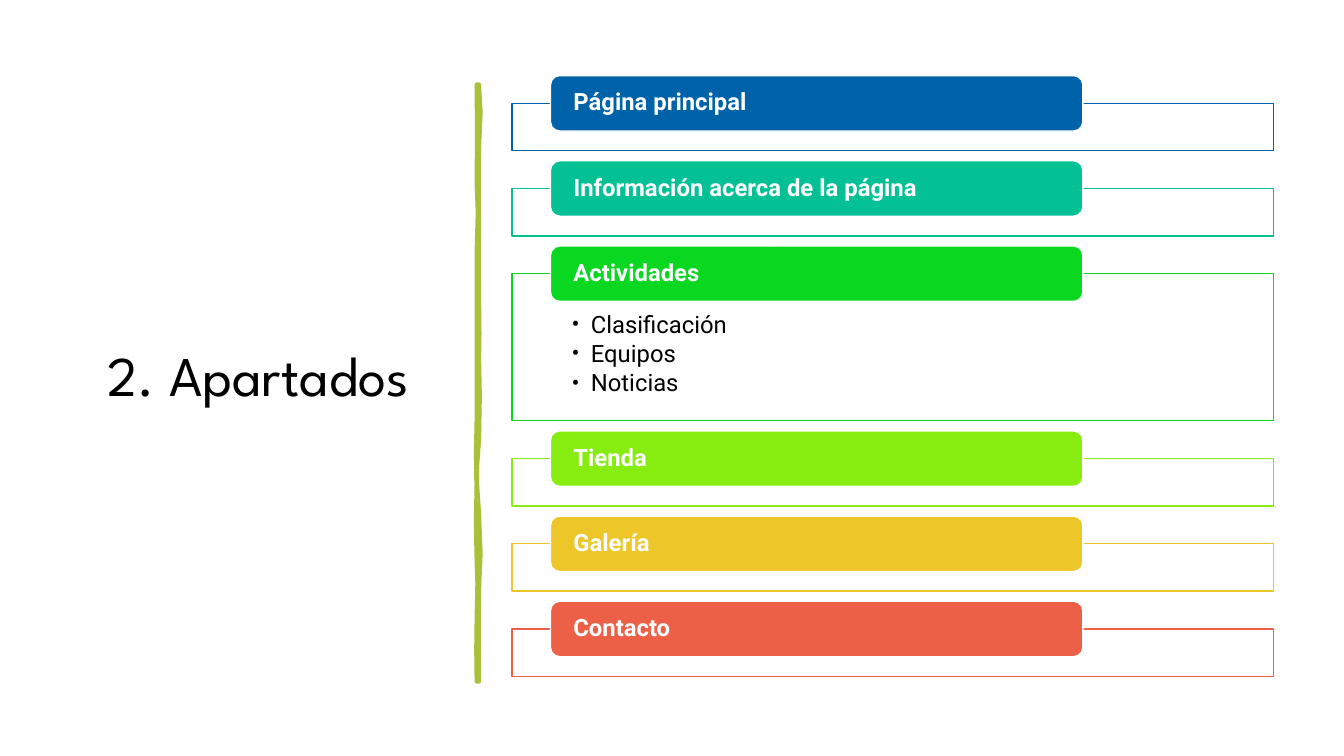
from lxml import etree
from pptx import Presentation
from pptx import util as u
from pptx.dml.color import RGBColor
from pptx.enum import shapes, text
from pptx.oxml.ns import qn

COLORS = {
    "white": "FFFFFF", "black": "000000", "olive": "A9C038", "blue": "0062A9",
    "teal": "04C195", "green": "09D720", "lime": "87EC0F", "yellow": "EDC72A",
    "coral": "EB6047",
}
SECTIONS = [
    ("Página principal", "blue", []),
    ("Información acerca de la página", "teal", []),
    ("Actividades", "green", ["Clasificación", "Equipos", "Noticias"]),
    ("Tienda", "lime", []),
    ("Galería", "yellow", []),
    ("Contacto", "coral", []),
]
BOX_LEFT, BOX_WIDTH = 5.08, 7.55
PLAIN_HEIGHT, LIST_HEIGHT = 0.47, 1.46
TAB_LEFT, TAB_WIDTH, TAB_HEIGHT, FIRST_TAB_TOP = 5.46, 5.28, 0.55, 0.75
TAB_RISE = TAB_HEIGHT / 2
GAP = TAB_RISE + 0.1

# Cubic curves of the brush stroke: a start point, then three points per curve.
BRUSH = [
    (4.75, 0.84), (4.77, 1.02), (4.77, 1.19), (4.75, 1.46),
    (4.73, 1.73), (4.76, 1.95), (4.75, 2.26), (4.74, 2.57), (4.75, 2.62), (4.75, 2.94),
    (4.74, 3.25), (4.77, 3.42), (4.75, 3.56), (4.73, 3.7), (4.79, 4.14), (4.75, 4.36),
    (4.71, 4.57), (4.72, 4.84), (4.75, 5.1), (4.77, 5.36), (4.77, 5.64), (4.75, 5.84),
    (4.73, 6.03), (4.76, 6.5), (4.75, 6.76), (4.74, 6.76), (4.73, 6.76), (4.73, 6.76),
    (4.74, 6.46), (4.71, 6.44), (4.73, 6.13), (4.74, 5.83), (4.74, 5.7), (4.73, 5.57),
    (4.72, 5.44), (4.72, 4.95), (4.73, 4.77), (4.73, 4.59), (4.71, 4.45), (4.73, 4.15),
    (4.74, 3.86), (4.72, 3.73), (4.73, 3.35), (4.74, 2.98), (4.72, 2.81), (4.73, 2.5),
    (4.74, 2.18), (4.75, 2), (4.73, 1.81), (4.7, 1.63), (4.77, 1.04), (4.73, 0.84),
]


def flatten(points, steps=2):
    """Turn chained cubic curves into a list of points in EMU."""
    flat = []
    for i in range(0, len(points) - 3, 3):
        for t in (n / steps for n in range(steps)):
            weights = ((1 - t) ** 3, 3 * t * (1 - t) ** 2, 3 * t * t * (1 - t), t ** 3)
            flat.append(tuple(
                u.Inches(sum(w * pt[axis] for w, pt in zip(weights, points[i:i + 4])))
                for axis in (0, 1)))
    return flat + [tuple(u.Inches(v) for v in points[-1])]


class SlideBuilder:
    font = "Roboto"
    title_font = "League Spartan"
    size = 17

    def __init__(self, prs):
        self.slide = prs.slides.add_slide(prs.slide_layouts[6])

    def color(self, name):
        return RGBColor.from_string(COLORS[name])

    def paint(self, sp, fill, line, width):
        sp.shadow.inherit = False
        sp.fill.solid()
        sp.fill.fore_color.rgb = self.color(fill)
        sp.line.color.rgb = self.color(line)
        sp.line.width = u.Pt(width)

    def shape(self, kind, box, fill, line):
        sp = self.slide.shapes.add_shape(kind, *map(u.Inches, box))
        self.paint(sp, fill, line, 1)
        return sp

    def frame(self, sp, insets, anchor):
        tf = sp.text_frame
        tf.word_wrap = True
        tf.vertical_anchor = anchor
        tf.margin_left, tf.margin_top, tf.margin_right, tf.margin_bottom = map(u.Inches, insets)
        return tf

    def style(self, p, color, size=size, font=font, bold=False,
              align=text.PP_ALIGN.LEFT, after=0):
        p.font.name, p.font.size, p.font.bold = font, u.Pt(size), bold
        p.font.color.rgb = self.color(color)
        p.alignment, p.line_spacing, p.space_after = align, 0.9, u.Pt(after)

    def title(self, words, box):
        sp = self.slide.shapes.add_textbox(*map(u.Inches, box))
        tf = self.frame(sp, (0.1, 0.05, 0.1, 0.05), text.MSO_ANCHOR.MIDDLE)
        tf.text = words
        self.style(tf.paragraphs[0], "black", 40, self.title_font,
                   align=text.PP_ALIGN.CENTER)

    def brush(self, points, color):
        start, *rest = flatten(points)
        builder = self.slide.shapes.build_freeform(*start)
        builder.add_line_segments(rest, close=True)
        self.paint(builder.convert_to_shape(), color, color, 3.25)

    def content_box(self, box, color, items):
        sp = self.shape(shapes.MSO_SHAPE.RECTANGLE, box, "white", color)
        fill = sp.fill._xPr.find(qn("a:solidFill"))
        etree.SubElement(fill[0], qn("a:alpha"), val="90000")
        if not items:
            return
        tf = self.frame(sp, (0.59, 0.39, 0.59, 0.13), text.MSO_ANCHOR.TOP)
        tf.text = "\n".join(items)
        for p in tf.paragraphs:
            p.level = 1
            self.style(p, "black", after=2.5)
            self.bullet(p)

    def bullet(self, p, indent=0.19):
        pPr = p._p.get_or_add_pPr()
        pPr.set("marL", str(u.Inches(indent)))
        pPr.set("indent", str(-u.Inches(indent)))
        run_style = pPr.find(qn("a:defRPr"))
        run_style.addprevious(etree.Element(qn("a:buFont"), typeface=self.font))
        run_style.addprevious(etree.Element(qn("a:buChar"), char="•"))

    def tab(self, box, color, words):
        sp = self.shape(shapes.MSO_SHAPE.ROUNDED_RECTANGLE, box, color, "white")
        tf = self.frame(sp, (0.2, 0, 0.2, 0), text.MSO_ANCHOR.MIDDLE)
        tf.text = words
        self.style(tf.paragraphs[0], "white", bold=True, after=6)


def main():
    prs = Presentation()
    prs.slide_width, prs.slide_height = u.Inches(13.33), u.Inches(7.5)
    s = SlideBuilder(prs)
    s.title("2. Apartados", (0.69, 0.7, 3.74, 6.11))
    s.brush(BRUSH, "olive")
    top = FIRST_TAB_TOP + TAB_RISE
    for heading, color, items in SECTIONS:
        height = LIST_HEIGHT if items else PLAIN_HEIGHT
        s.content_box((BOX_LEFT, top, BOX_WIDTH, height), color, items)
        s.tab((TAB_LEFT, top - TAB_RISE, TAB_WIDTH, TAB_HEIGHT), color, heading)
        top += height + GAP
    prs.save("out.pptx")


if __name__ == "__main__":
    main()
